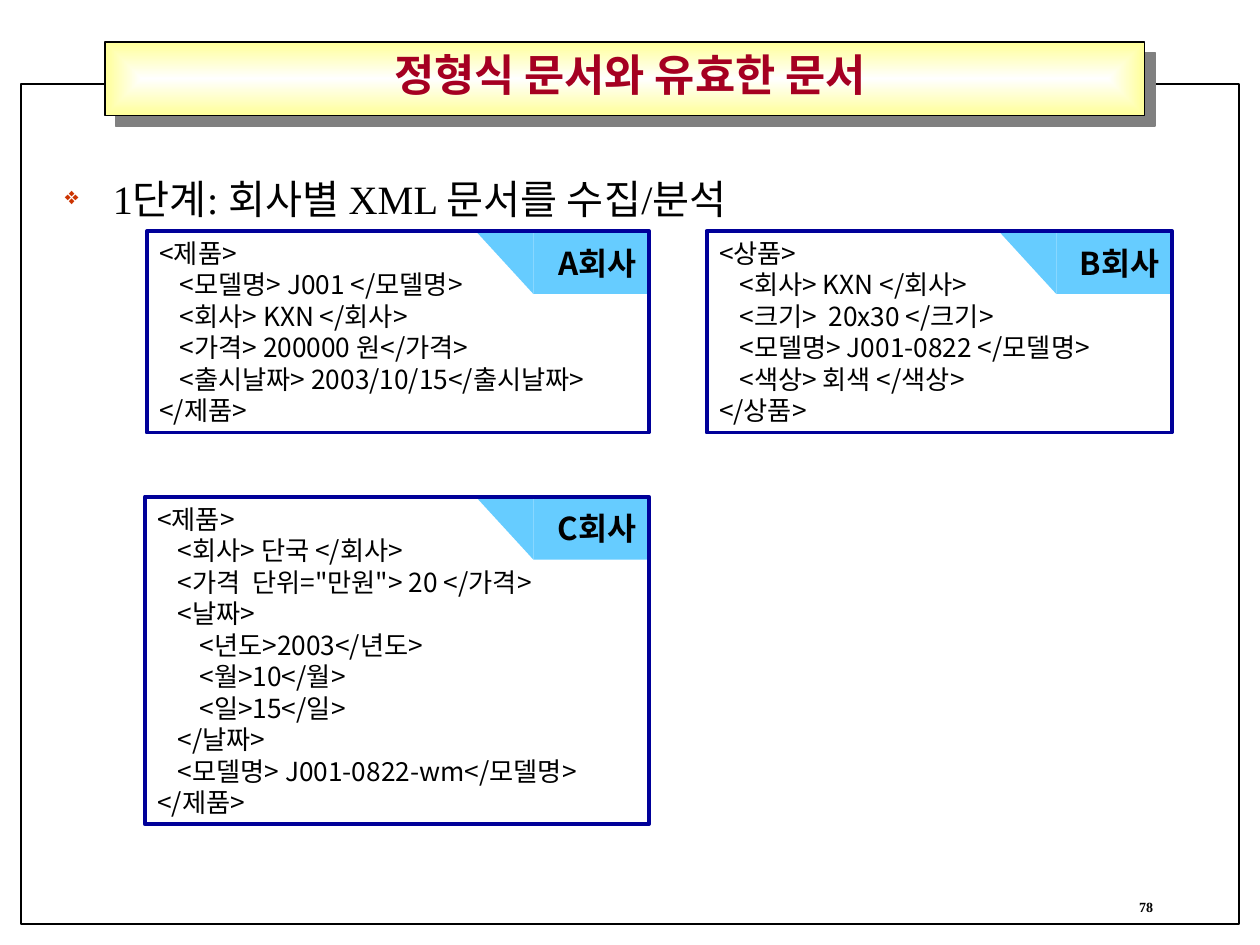
from dataclasses import dataclass
from typing import Optional

from pptx import Presentation, util as u
from pptx.dml.color import RGBColor
from pptx.enum import shapes, text
from pptx.oxml import parse_xml
from pptx.oxml.ns import nsdecls

COLS, ROWS = 120, 90


@dataclass(frozen=True)
class Theme:
    ink: str = "000000"
    paper: str = "FFFFFF"
    banner: str = "FFFF99"
    shadow: str = "808080"
    title: str = "A50021"
    bullet: str = "CC3300"
    tab: str = "66CCFF"
    card: str = "000099"
    korean: str = "Noto Sans CJK KR"
    serif: str = "Times New Roman"
    indent: str = "Arial"
    title_pt: int = 25
    body_pt: int = 23
    tab_pt: int = 18
    code_pt: int = 15
    code_line_pt: int = 18
    number_pt: int = 8
    frame_line: float = 0.75
    card_line: float = 2.25


@dataclass(frozen=True)
class Box:
    col: float
    row: float
    cols: float
    rows: float


@dataclass(frozen=True)
class Card:
    name: str
    col: float
    row: float
    cols: float
    code: tuple[str, ...]

    @property
    def box(self) -> Box:
        return Box(self.col, self.row, self.cols, len(self.code) * 3 + 1.2)


T = Theme()
TAB_COLS, SLANT_COLS, TAB_ROWS = 11, 5.5, 6
CARDS = (
    Card("A회사", 14, 22, 47.8, (
        "<제품>",
        "   <모델명> J001 </모델명>",
        "   <회사> KXN </회사>",
        "   <가격> 200000 원</가격>",
        "   <출시날짜> 2003/10/15</출시날짜>",
        "</제품>",
    )),
    Card("B회사", 67.3, 22, 44.3, (
        "<상품>",
        "   <회사> KXN </회사>",
        "   <크기>  20x30 </크기>",
        "   <모델명> J001-0822 </모델명>",
        "   <색상> 회색 </색상>",
        "</상품>",
    )),
    Card("C회사", 13.8, 47.3, 48, (
        "<제품>",
        "   <회사> 단국 </회사>",
        '   <가격  단위="만원"> 20 </가격>',
        "   <날짜>",
        "      <년도>2003</년도>",
        "      <월>10</월>",
        "      <일>15</일>",
        "   </날짜>",
        "   <모델명> J001-0822-wm</모델명>",
        "</제품>",
    )),
)

prs = Presentation()
prs.slide_width, prs.slide_height = u.Inches(10), u.Inches(7.5)


def place(b: Box) -> tuple[int, int, int, int]:
    w, h = prs.slide_width / COLS, prs.slide_height / ROWS
    return round(b.col * w), round(b.row * h), round(b.cols * w), round(b.rows * h)


def add_shape(parent, b: Box, fill: Optional[str] = None, line: Optional[str] = None,
              width: float = T.frame_line, kind=shapes.MSO_SHAPE.RECTANGLE):
    sp = parent.add_shape(kind, *place(b))
    sp.shadow.inherit = False
    if fill:
        sp.fill.solid()
        sp.fill.fore_color.rgb = RGBColor.from_string(fill)
    else:
        sp.fill.background()
    if line:
        sp.line.color.rgb = RGBColor.from_string(line)
        sp.line.width = u.Pt(width)
    else:
        sp.line.fill.background()
    return sp


def add_run(p, words: str, size: int, font: str, color: str = T.ink, bold: bool = False) -> None:
    r = p.add_run()
    r.text = words
    r.font.size, r.font.name, r.font.bold = u.Pt(size), font, bold
    r.font.color.rgb = RGBColor.from_string(color)
    r.font._element.append(parse_xml(f'<a:ea {nsdecls("a")} typeface="{T.korean}"/>'))


def set_frame(sp, align, anchor=text.MSO_ANCHOR.TOP, wrap: bool = True):
    tf = sp.text_frame
    tf.word_wrap, tf.vertical_anchor = wrap, anchor
    tf.paragraphs[0].alignment = align
    return tf


def add_banner(parent, b: Box) -> None:
    sp = add_shape(parent, b, line=T.ink)
    spPr = sp._element.spPr
    plain = sp.fill._xPr.find("{*}noFill")
    spPr.replace(plain, parse_xml(
        f'<a:gradFill {nsdecls("a")} rotWithShape="1"><a:gsLst>'
        f'<a:gs pos="0"><a:srgbClr val="{T.paper}"/></a:gs>'
        f'<a:gs pos="100000"><a:srgbClr val="{T.banner}"/></a:gs></a:gsLst>'
        '<a:path path="rect"><a:fillToRect l="50000" t="50000" r="50000" b="50000"/></a:path>'
        '</a:gradFill>'))
    spPr.find("{*}effectLst").append(parse_xml(
        f'<a:outerShdw {nsdecls("a")} dist="{u.Pt(8.5)}" dir="2700000" algn="ctr" rotWithShape="0">'
        f'<a:srgbClr val="{T.shadow}"/></a:outerShdw>'))


def add_heading(parent, b: Box, words: str) -> None:
    p = set_frame(parent.add_textbox(*place(b)), text.PP_ALIGN.LEFT).paragraphs[0]
    pPr = p._p.get_or_add_pPr()
    pPr.set("marL", str(u.Inches(0.38)))
    pPr.set("indent", str(-u.Inches(0.38)))
    for xml in (f'<a:buClr {nsdecls("a")}><a:srgbClr val="{T.bullet}"/></a:buClr>',
                f'<a:buSzPct {nsdecls("a")} val="60000"/>',
                f'<a:buChar {nsdecls("a")} char="❖"/>'):
        pPr.append(parse_xml(xml))
    add_run(p, words, T.body_pt, T.serif)


def add_card(parent, card: Card) -> None:
    group = parent.add_group_shape().shapes
    tab_col = card.col + card.cols - TAB_COLS
    slant = add_shape(group, Box(tab_col - SLANT_COLS, card.row, SLANT_COLS, TAB_ROWS),
                      fill=T.tab, kind=shapes.MSO_SHAPE.RIGHT_TRIANGLE)
    slant.rotation = 180
    tab = add_shape(group, Box(tab_col, card.row, TAB_COLS, TAB_ROWS), fill=T.tab)
    tf = set_frame(tab, text.PP_ALIGN.RIGHT, text.MSO_ANCHOR.MIDDLE, wrap=False)
    add_run(tf.paragraphs[0], card.name, T.tab_pt, T.korean, bold=True)

    sp = add_shape(group, card.box, line=T.card, width=T.card_line)
    tf = set_frame(sp, text.PP_ALIGN.JUSTIFY)
    for i, line in enumerate(card.code):
        p = tf.add_paragraph() if i else tf.paragraphs[0]
        p.alignment = text.PP_ALIGN.JUSTIFY
        p.line_spacing = u.Pt(T.code_line_pt)
        depth = max(len(line) - len(line.lstrip()) - 1, 0)
        if depth:
            add_run(p, line[:depth], T.code_pt, T.indent)
        add_run(p, line[depth:], T.code_pt, T.korean)


def main() -> None:
    s = prs.slides.add_slide(prs.slide_layouts[6])
    add_shape(s.shapes, Box(2, 8, 116, 80), fill=T.paper, line=T.ink)
    add_banner(s.shapes, Box(10, 4, 99, 7))
    number = s.shapes.add_textbox(*place(Box(86, 85, 25, 3)))
    tf = set_frame(number, text.PP_ALIGN.RIGHT)
    add_run(tf.paragraphs[0], "78", T.number_pt, T.serif, bold=True)
    title = s.shapes.add_textbox(*place(Box(10, 3, 100, 8)))
    tf = set_frame(title, text.PP_ALIGN.CENTER, text.MSO_ANCHOR.MIDDLE)
    add_run(tf.paragraphs[0], "정형식 문서와 유효한 문서", T.title_pt, T.korean, T.title, True)
    add_heading(s.shapes, Box(5, 16, 110, 66), "1단계: 회사별 XML 문서를 수집/분석")
    for card in CARDS:
        add_card(s.shapes, card)
    prs.save("out.pptx")


if __name__ == "__main__":
    main()
